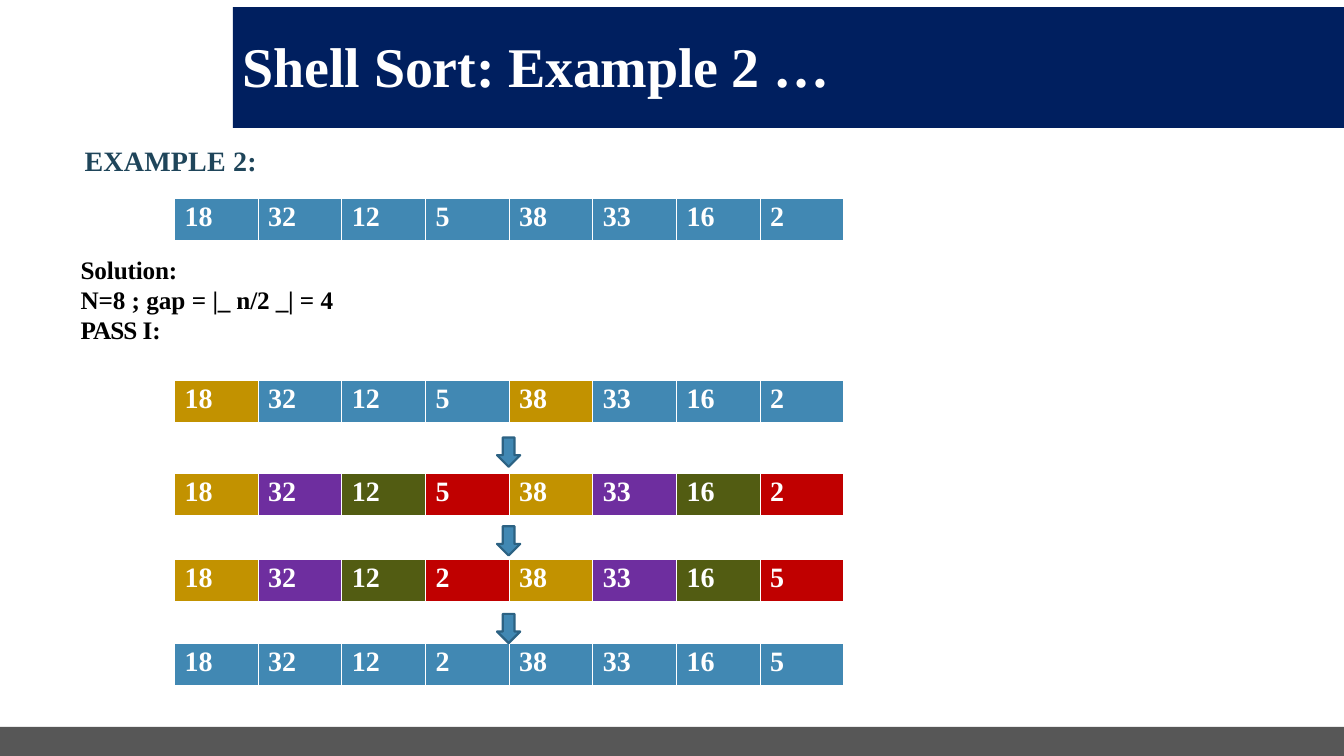
from lxml.etree import SubElement
from pptx import Presentation
from pptx.dml.color import RGBColor
from pptx.enum.shapes import MSO_SHAPE
from pptx.oxml.ns import qn
from pptx.util import Inches, Pt

COLORS = {
    "white": "FFFFFF", "black": "000000", "navy": "001F5F", "gray": "575757",
    "teal": "1F455A", "blue": "4188B3", "outline": "2C6283", "gold": "C29200",
    "purple": "6E2E9F", "olive": "525C12", "red": "C00000",
}
FONT = "Times New Roman"
BORDERS = {"a:lnL": 1, "a:lnR": 1, "a:lnT": 1, "a:lnB": 3}
COLUMN_WIDTH = 0.83
ROW_HEIGHT = 0.43

START = [18, 32, 12, 5, 38, 33, 16, 2]
SORTED_PASS = [18, 32, 12, 2, 38, 33, 16, 5]
PLAIN = ["blue"] * 8
FIRST_PAIR = ["gold", "blue", "blue", "blue"] * 2
ALL_PAIRS = ["gold", "purple", "olive", "red"] * 2
ARRAYS = [
    (1.97, START, PLAIN),
    (3.77, START, FIRST_PAIR),
    (4.70, START, ALL_PAIRS),
    (5.55, SORTED_PASS, ALL_PAIRS),
    (6.38, SORTED_PASS, PLAIN),
]
ARROW_TOPS = [4.34, 5.22, 6.09]


def color(name):
    return RGBColor.from_string(COLORS[name])


def style_font(para, size, color_name):
    para.font.name = FONT
    para.font.size = Pt(size)
    para.font.bold = True
    para.font.color.rgb = color(color_name)


def add_shape(page, kind, left, top, width, height, fill, outline=None):
    shape = page.shapes.add_shape(
        kind, Inches(left), Inches(top), Inches(width), Inches(height))
    shape.shadow.inherit = False
    shape.fill.solid()
    shape.fill.fore_color.rgb = color(fill)
    if outline:
        shape.line.color.rgb = color(outline)
        shape.line.width = Pt(1.56)
    else:
        shape.line.fill.background()


def add_text(page, left, top, width, height, lines, size, color_name, inset=0.03):
    box = page.shapes.add_textbox(
        Inches(left), Inches(top), Inches(width), Inches(height))
    frame = box.text_frame
    frame.word_wrap = True
    frame.margin_left = Inches(0.01)
    frame.margin_top = Inches(inset)
    frame.margin_right = frame.margin_bottom = 0
    for index, spans in enumerate(lines):
        para = frame.paragraphs[0] if index == 0 else frame.add_paragraph()
        style_font(para, size, color_name)
        for text, tracking in spans:
            span = para.add_run()
            span.text = text
            span.font.bold = True
            span._r.get_or_add_rPr().set("spc", str(tracking))


def add_borders(cell):
    properties = cell._tc.get_or_add_tcPr()
    for position, (tag, width) in enumerate(BORDERS.items()):
        line = SubElement(properties, qn(tag), w=str(Pt(width)))
        fill = SubElement(line, qn("a:solidFill"))
        SubElement(fill, qn("a:srgbClr"), val=COLORS["white"])
        properties.insert(position, line)


def add_array(page, top, values, fills):
    count = len(values)
    table = page.shapes.add_table(
        1, count, Inches(1.73), Inches(top),
        Inches(COLUMN_WIDTH * count), Inches(ROW_HEIGHT)).table
    for column, value, fill in zip(range(count), values, fills):
        table.columns[column].width = Inches(COLUMN_WIDTH)
        cell = table.cell(0, column)
        cell.margin_left = Inches(0.1)
        cell.margin_top = Inches(0.03)
        cell.margin_right = cell.margin_bottom = 0
        cell.fill.solid()
        cell.fill.fore_color.rgb = color(fill)
        add_borders(cell)
        cell.text = str(value)
        style_font(cell.text_frame.paragraphs[0], 20, "white")


def main():
    deck = Presentation()
    deck.slide_width = Inches(13.33)
    deck.slide_height = Inches(7.5)
    page = deck.slides.add_slide(deck.slide_layouts[6])

    add_shape(page, MSO_SHAPE.RECTANGLE, 0, 7.21, 13.33, 0.29, "gray")
    add_shape(page, MSO_SHAPE.RECTANGLE, 2.31, 0.07, 11.02, 1.2, "navy")
    add_text(page, 2.4, 0.26, 5.93, 0.69,
             [[("Shell Sort: ", -10), ("Example ", -20), ("2 …", 0)]],
             40, "white", inset=0.05)
    add_text(page, 0.83, 1.39, 1.8, 0.36, [[("EXAMPLE 2:", 10)]], 20, "teal")
    add_text(page, 0.79, 2.49, 2.6, 0.93, [
        [("Solution:", -10)],
        [("N=8 ", -10), ("; gap = ", 0), ("|_ n/2 _| ", -10), ("= 4", 0)],
        [("PASS ", -70), ("I:", -10)],
    ], 18, "black")

    for top, values, fills in ARRAYS:
        add_array(page, top, values, fills)
    for top in ARROW_TOPS:
        add_shape(page, MSO_SHAPE.DOWN_ARROW, 4.93, top, 0.23, 0.29, "blue", "outline")

    deck.save("out.pptx")


if __name__ == "__main__":
    main()
